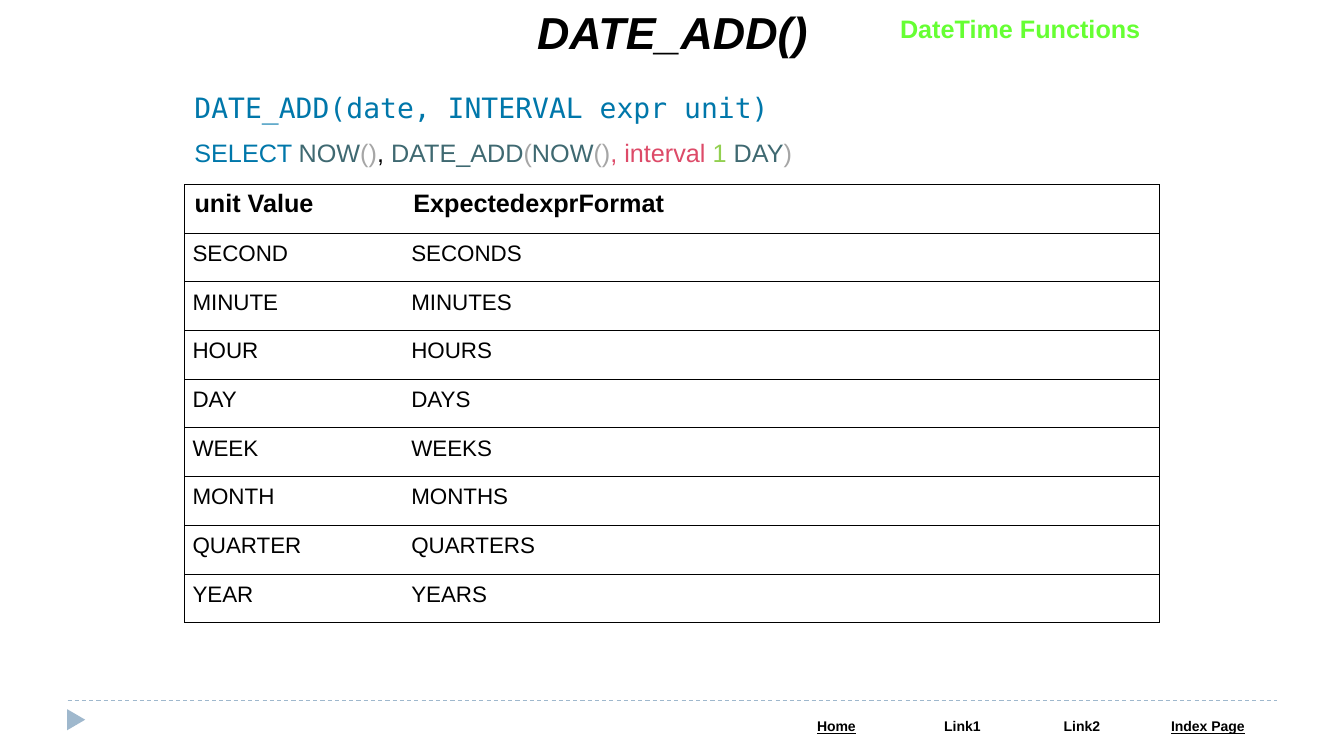
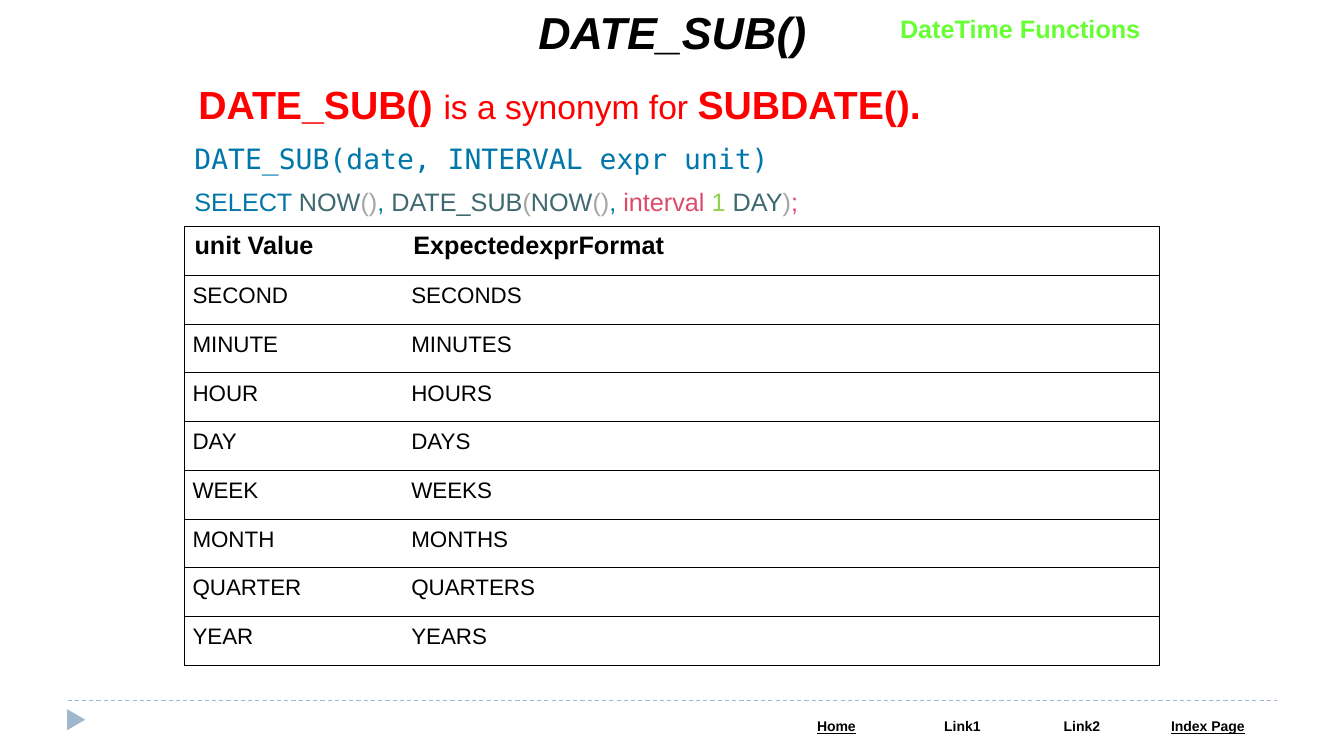
from typing import NamedTuple, Optional

from lxml import etree
from pptx import Presentation
from pptx.dml.color import RGBColor
from pptx.enum import dml, shapes, text
from pptx.oxml import ns
from pptx.util import Inches, Pt

BLACK = RGBColor(0x00, 0x00, 0x00)
WHITE = RGBColor(0xFF, 0xFF, 0xFF)
STEEL = RGBColor(0x9F, 0xB8, 0xCD)
LIME = RGBColor(0x66, 0xFF, 0x33)
RED = RGBColor(0xFF, 0x00, 0x00)
KEYWORD = RGBColor(0x00, 0x77, 0xAA)
NAME = RGBColor(0x3F, 0x69, 0x71)
BRACKET = RGBColor(0xA6, 0xA6, 0xA6)
INTERVAL = RGBColor(0xDD, 0x4A, 0x68)
NUMBER = RGBColor(0x92, 0xD0, 0x50)

SANS = "Arial"
MONO = "DejaVu Sans Mono"
LEFT = 1.83
WIDTH = 9.67
TABLE_HEIGHT = 4.35
UNITS = ["SECOND", "MINUTE", "HOUR", "DAY", "WEEK", "MONTH", "QUARTER", "YEAR"]


class Span(NamedTuple):
    text: str
    color: RGBColor
    size: Optional[float] = None
    bold: Optional[bool] = None


class Line(NamedTuple):
    left: float
    top: float
    width: float
    height: float
    spans: list[Span]
    size: float = 18
    font: str = SANS
    bold: bool = False


class Topic(NamedTuple):
    title: str
    lines: list[Line]
    table_top: float


class NavItem(NamedTuple):
    label: str
    width: float
    underlined: bool = False


NAVIGATION = [
    NavItem("Home", 1.25, True),
    NavItem("Link1", 1.25),
    NavItem("Link2", 1.12),
    NavItem("Index Page", 1.38, True),
]


def syntax_line(function: str, top: float) -> Line:
    spans = [Span(f"{function}(date, INTERVAL expr unit)", KEYWORD)]
    return Line(LEFT, top, WIDTH, 0.44, spans, size=20, font=MONO)


def call_spans(function: str) -> tuple[list[Span], list[Span]]:
    """The two stretches of the example query around its first comma."""
    now = [Span("NOW", NAME), Span("()", BRACKET)]
    return now, [Span(function, NAME), Span("(", BRACKET), *now]


ADD_NOW, ADD_CALL = call_spans("DATE_ADD")
SUB_NOW, SUB_CALL = call_spans("DATE_SUB")
ONE_DAY = [Span("1 ", NUMBER), Span("DAY", NAME), Span(")", BRACKET)]

TOPICS = [
    Topic("DATE_ADD()", [
        syntax_line("DATE_ADD", 0.85),
        Line(LEFT, 1.31, WIDTH, 0.4, [
            Span("SELECT", KEYWORD), Span(" ", BLACK, 16), *ADD_NOW,
            Span(", ", BLACK), *ADD_CALL,
            Span(", interval ", INTERVAL), *ONE_DAY,
        ]),
    ], table_top=1.83),
    Topic("DATE_SUB()", [
        syntax_line("DATE_SUB", 1.35),
        Line(LEFT, 1.8, WIDTH, 0.4, [
            Span("SELECT ", KEYWORD), *SUB_NOW,
            Span(", ", KEYWORD), *SUB_CALL,
            Span(",", KEYWORD), Span(" interval ", INTERVAL), *ONE_DAY,
            Span(";", INTERVAL),
        ]),
        Line(1.87, 0.75, 9.54, 0.57, [
            Span("DATE_SUB() ", RED),
            Span("is a synonym for ", RED, 24, False),
            Span("SUBDATE().", RED),
        ], size=28, bold=True),
    ], table_top=2.25),
]


def set_font(para, size: float, color: Optional[RGBColor] = None,
             name: str = SANS, bold: bool = False) -> None:
    para.font.name = name
    para.font.size = Pt(size)
    para.font.bold = bold
    if color is not None:
        para.font.color.rgb = color


def add_line(page, line: Line):
    box = page.shapes.add_textbox(Inches(line.left), Inches(line.top),
                                  Inches(line.width), Inches(line.height))
    box.text_frame.word_wrap = True
    para = box.text_frame.paragraphs[0]
    for part in line.spans:
        span = para.add_run()
        span.text = part.text
        span.font.color.rgb = part.color
        if part.size is not None:
            span.font.size = Pt(part.size)
        if part.bold is not None:
            span.font.bold = part.bold
    set_font(para, line.size, name=line.font, bold=line.bold)
    return box


def add_plain_table(page, left: float, top: float, widths: list[float],
                    rows: int, height: float):
    frame = page.shapes.add_table(rows, len(widths), Inches(left), Inches(top),
                                  Inches(sum(widths)), Inches(height))
    table = frame.table
    table.first_row = table.horz_banding = False
    for column, width in zip(table.columns, widths):
        column.width = Inches(width)
    for row in table.rows:
        row.height = Inches(height / rows)
    return table


def set_borders(cell, visible: str) -> None:
    """Draw the sides named in visible (L, R, T, B) and clear the others."""
    properties = cell._tc.get_or_add_tcPr()
    for side in "LRTB":
        border = etree.SubElement(properties, ns.qn(f"a:ln{side}"),
                                  w=str(Pt(0.75)))
        if side in visible:
            fill = etree.SubElement(border, ns.qn("a:solidFill"))
            etree.SubElement(fill, ns.qn("a:srgbClr"), val=str(BLACK))
        else:
            etree.SubElement(border, ns.qn("a:noFill"))


def fill_cell(cell, words: str, size: float, bold: bool):
    cell.fill.solid()
    cell.fill.fore_color.rgb = WHITE
    para = cell.text_frame.paragraphs[0]
    para.text = words
    set_font(para, size, BLACK, bold=bold)
    return para


def add_unit_table(page, top: float) -> None:
    rows = [("unit Value", "ExpectedexprFormat")]
    rows += [(unit, f"{unit}S") for unit in UNITS]
    table = add_plain_table(page, LEFT, top, [2.17, 7.5], len(rows), TABLE_HEIGHT)
    for r, row in enumerate(rows):
        header = r == 0
        for c, words in enumerate(row):
            cell = table.cell(r, c)
            set_borders(cell, "LTB" if c == 0 else "RTB")
            fill_cell(cell, words, 18 if header else 16, header)
            if not header:
                cell.margin_left = cell.margin_right = Inches(0.08)
                cell.margin_top = cell.margin_bottom = Inches(0.08)


def add_footer(page) -> None:
    # Marker and dashed rule
    marker = page.shapes.add_shape(shapes.MSO_SHAPE.ISOSCELES_TRIANGLE,
                                   Inches(0.65), Inches(7.05),
                                   Inches(0.21), Inches(0.18))
    marker.rotation = 90
    marker.shadow.inherit = False
    marker.fill.solid()
    marker.fill.fore_color.rgb = STEEL
    marker.line.fill.background()
    rule = page.shapes.add_connector(shapes.MSO_CONNECTOR.STRAIGHT,
                                     Inches(0.67), Inches(6.95),
                                     Inches(12.67), Inches(6.95))
    rule.line.color.rgb = STEEL
    rule.line.width = Pt(0.75)
    rule.line.dash_style = dml.MSO_LINE.DASH
    etree.SubElement(rule._element.spPr, ns.qn("a:effectLst"))

    # Navigation row
    table = add_plain_table(page, 7.67, 7.08,
                            [item.width for item in NAVIGATION], 1, 0.27)
    for c, item in enumerate(NAVIGATION):
        cell = table.cell(0, c)
        cell.margin_left = cell.margin_right = Inches(0.13)
        para = fill_cell(cell, item.label, 10, True)
        para.alignment = text.PP_ALIGN.CENTER
        para.font.underline = item.underlined


def add_title(page, words: str) -> None:
    title = page.shapes.title
    title.left, title.top = Inches(1.67), Inches(0)
    title.width, title.height = Inches(10), Inches(0.64)
    title.fill.solid()
    title.fill.fore_color.rgb = WHITE
    title.text_frame.vertical_anchor = text.MSO_ANCHOR.TOP
    title.text_frame.auto_size = text.MSO_AUTO_SIZE.NONE
    para = title.text_frame.paragraphs[0]
    para.text = words
    para.alignment = text.PP_ALIGN.CENTER
    set_font(para, 32, BLACK, bold=True)
    para.font.italic = True


def add_section_label(page) -> None:
    spans = [Span("DateTime Functions", LIME)]
    box = add_line(page, Line(8.8, 0.08, 2.61, 0.4, spans, bold=True))
    box.text_frame.word_wrap = False
    box.text_frame.paragraphs[0].alignment = text.PP_ALIGN.RIGHT


def add_topic(deck, topic: Topic) -> None:
    page = deck.slides.add_slide(deck.slide_layouts[5])
    add_footer(page)
    add_title(page, topic.title)
    add_section_label(page)
    add_unit_table(page, topic.table_top)
    for line in topic.lines:
        add_line(page, line)


def main() -> None:
    deck = Presentation()
    deck.slide_width, deck.slide_height = Inches(13.33), Inches(7.5)
    for topic in TOPICS:
        add_topic(deck, topic)
    deck.save("out.pptx")


if __name__ == "__main__":
    main()
